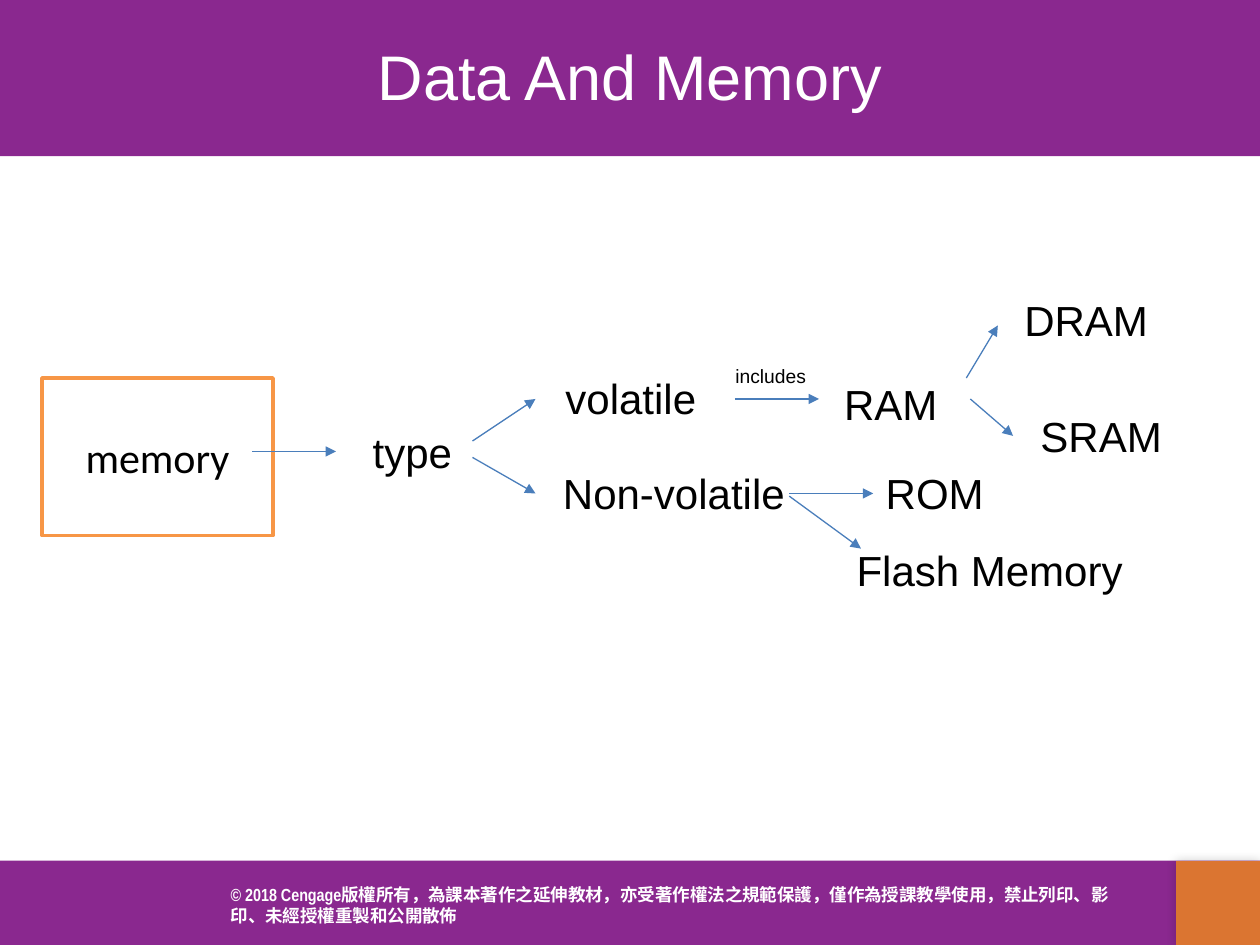
from typing import NamedTuple

from lxml import etree
from pptx import Presentation
from pptx.dml.color import RGBColor
from pptx.enum import shapes, text
from pptx.oxml import parse_xml
from pptx.oxml.ns import nsdecls, qn
from pptx.util import Pt

PURPLE, ORANGE, WHITE, BLACK = "8A288F", "DB7531", "FFFFFF", "000000"
BOX_LINE, ARROW = "F79646", "4A7EBB"


class Label(NamedTuple):
    text: str
    left: float
    top: float
    width: float
    height: float = 36
    size: float = 24


class Arrow(NamedTuple):
    x1: float
    y1: float
    x2: float
    y2: float


LABELS = [
    Label("type", 205.9, 240, 60),
    Label("volatile", 316, 209.5, 90),
    Label("Non-volatile", 314.6, 263.5, 142.5),
    Label("includes", 413.1, 204.5, 55.4, 21, 11),
    Label("RAM", 475.2, 213, 68.4),
    Label("DRAM", 578.2, 165, 85.7),
    Label("SRAM", 587.5, 231.2, 84.2),
    Label("ROM", 499, 263.5, 71.3),
    Label("Flash Memory", 482.4, 307.5, 168.5),
]

ARROWS = [
    Arrow(144, 258, 192, 258),
    Arrow(270, 252, 306, 228),
    Arrow(270, 261.4, 306, 282),
    Arrow(420, 228, 468, 228),
    Arrow(552.2, 216, 570.2, 186),
    Arrow(554.5, 228, 578.9, 249.1),
    Arrow(451, 282, 499, 282),
    Arrow(451, 283.5, 492, 313.5),
]


def rgb(hex_color: str) -> RGBColor:
    return RGBColor.from_string(hex_color)


def style(font, name: str, size: float, color: str, bold: bool = False) -> None:
    font.name, font.size, font.bold = name, Pt(size), bold
    font.color.rgb = rgb(color)


def add_rect(s, left: float, top: float, width: float, height: float, fill: str):
    sp = s.shapes.add_shape(shapes.MSO_SHAPE.RECTANGLE,
                            Pt(left), Pt(top), Pt(width), Pt(height))
    sp.shadow.inherit = False
    sp.fill.solid()
    sp.fill.fore_color.rgb = rgb(fill)
    sp.line.fill.background()
    return sp


def add_glow_shadow(sp) -> None:
    """Put a soft, centred shadow behind the shape."""
    effects = sp._element.spPr.find(qn("a:effectLst"))
    effects.append(parse_xml(
        f'<a:outerShdw {nsdecls("a")} blurRad="{Pt(6)}" dist="0" dir="0">'
        f'<a:srgbClr val="{BLACK}"><a:alpha val="20000"/></a:srgbClr></a:outerShdw>'))


def add_label(s, label: Label) -> None:
    sp = s.shapes.add_textbox(Pt(label.left), Pt(label.top),
                              Pt(label.width), Pt(label.height))
    tf = sp.text_frame
    tf.word_wrap = False
    tf.text = label.text
    style(tf.paragraphs[0].runs[0].font, "Arial", label.size, BLACK)


def add_arrow(s, arrow: Arrow) -> None:
    sp = s.shapes.add_connector(shapes.MSO_CONNECTOR.STRAIGHT, *map(Pt, arrow))
    sp.line.color.rgb = rgb(ARROW)
    sp.line.width = Pt(0.75)
    etree.SubElement(sp.line._get_or_add_ln(), qn("a:tailEnd"), type="triangle")
    etree.SubElement(sp._element.spPr, qn("a:effectLst"))


def add_bands(s) -> None:
    add_rect(s, 0, 0, 720, 89.3, PURPLE)
    add_rect(s, -0.7, 491.8, 721.4, 49.7, PURPLE)

    sp = add_rect(s, 131.8, 496, 507.6, 41.8, PURPLE)
    tf = sp.text_frame
    tf.word_wrap = True
    tf.vertical_anchor = text.MSO_ANCHOR.MIDDLE
    tf.margin_left = tf.margin_right = tf.margin_top = tf.margin_bottom = 0
    p = tf.paragraphs[0]
    p.alignment = text.PP_ALIGN.LEFT
    for wording, font in [
        ("© 2018 Cengage", "Arial Narrow"),
        ("版權所有，為課本著作之延伸教材，亦受著作權法之規範保護，"
         "僅作為授課教學使用，禁止列印、影印、未經授權重製和公開散佈", "Calibri"),
    ]:
        r = p.add_run()
        r.text = wording
        style(r.font, font, 10, WHITE, bold=True)

    add_glow_shadow(add_rect(s, 672, 492, 48, 48, ORANGE))


def place_title(s) -> None:
    sp = s.shapes.title
    s.shapes._spTree.append(sp._element)  # in front of the bands
    sp.left, sp.top, sp.width, sp.height = Pt(36), Pt(2.2), Pt(648), Pt(82)
    tf = sp.text_frame
    tf.text = "Data And Memory"
    tf.vertical_anchor = text.MSO_ANCHOR.MIDDLE
    p = tf.paragraphs[0]
    p.alignment = text.PP_ALIGN.CENTER
    style(p.runs[0].font, "Arial", 36, WHITE)


def add_memory_box(s) -> None:
    sp = add_rect(s, 24, 216, 132, 90, WHITE)
    sp.line.color.rgb = rgb(BOX_LINE)
    sp.line.width = Pt(2)
    tf = sp.text_frame
    tf.text = "memory"
    tf.vertical_anchor = text.MSO_ANCHOR.MIDDLE
    p = tf.paragraphs[0]
    p.alignment = text.PP_ALIGN.CENTER
    style(p.runs[0].font, "Calibri", 24, BLACK)


def main() -> None:
    prs = Presentation()
    prs.slide_width, prs.slide_height = Pt(720), Pt(540)
    s = prs.slides.add_slide(prs.slide_layouts.get_by_name("Title Only"))
    add_bands(s)
    place_title(s)
    add_memory_box(s)
    for label in LABELS:
        add_label(s, label)
    for arrow in ARROWS:
        add_arrow(s, arrow)
    prs.save("out.pptx")


if __name__ == "__main__":
    main()
